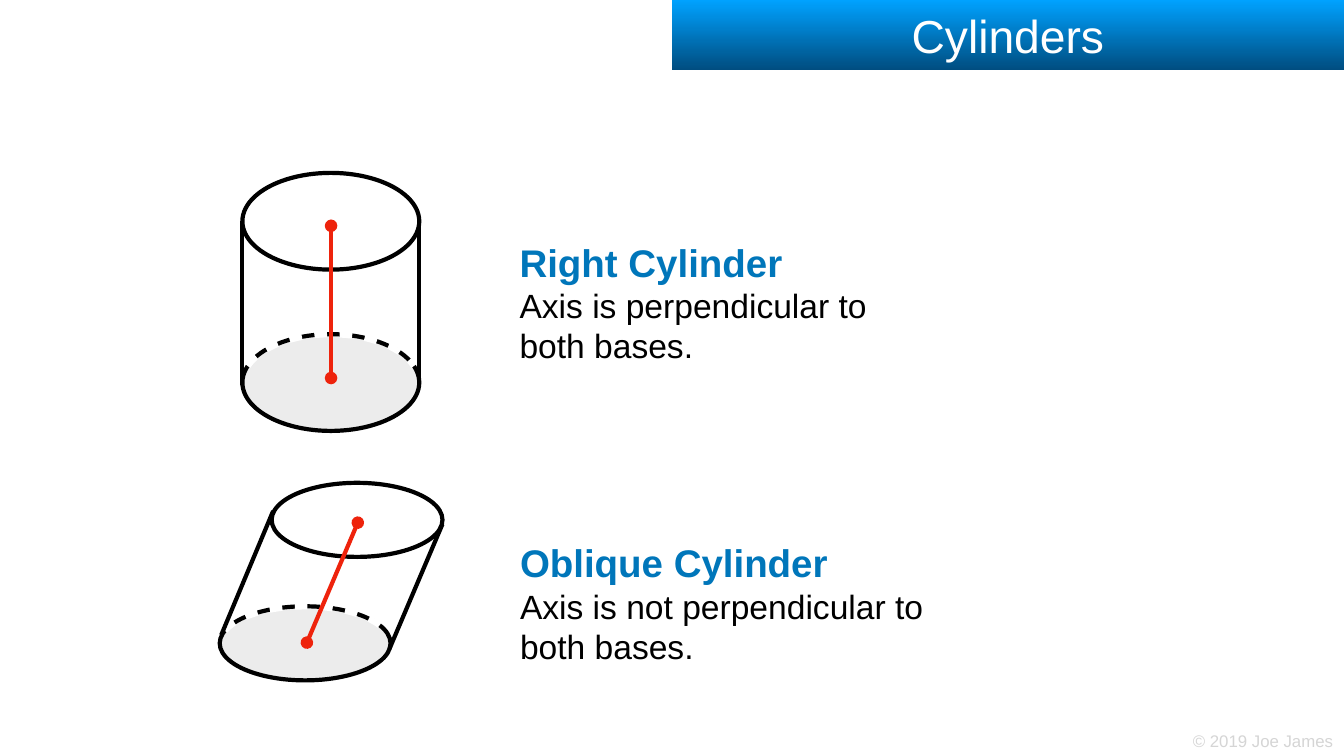
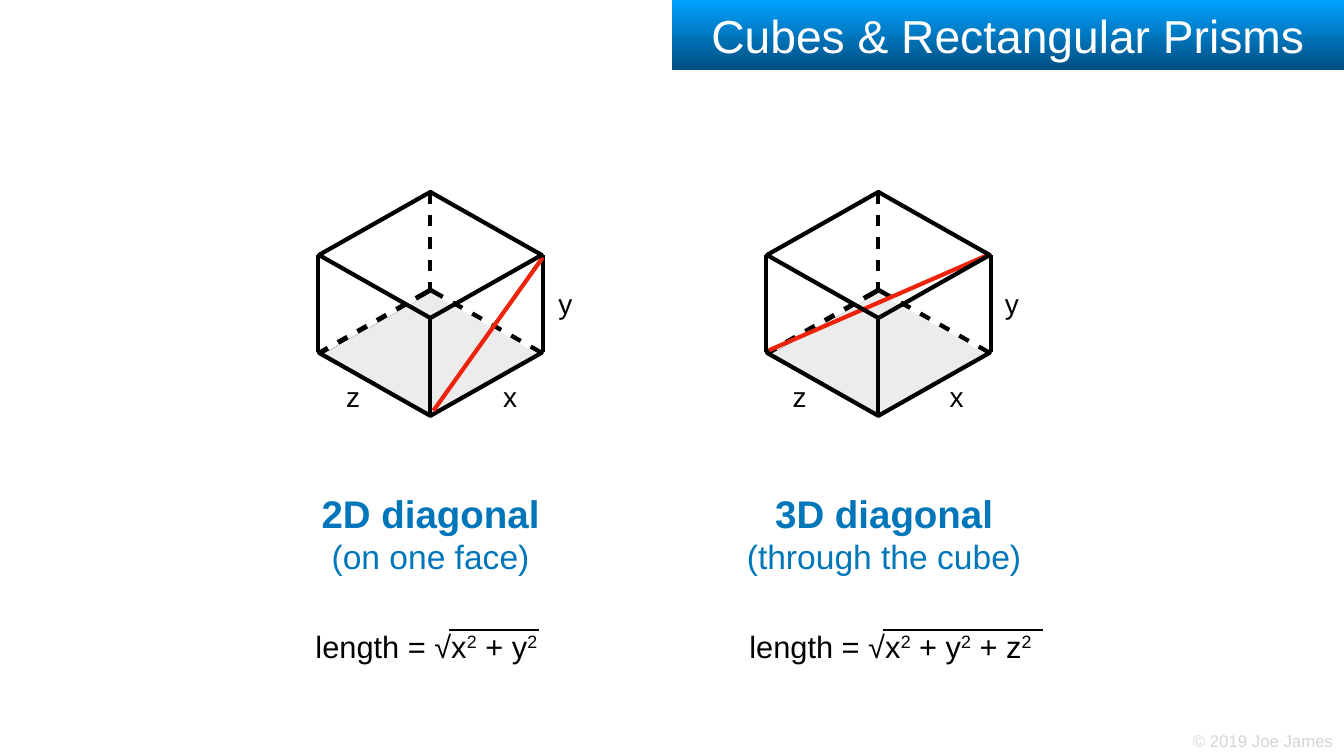
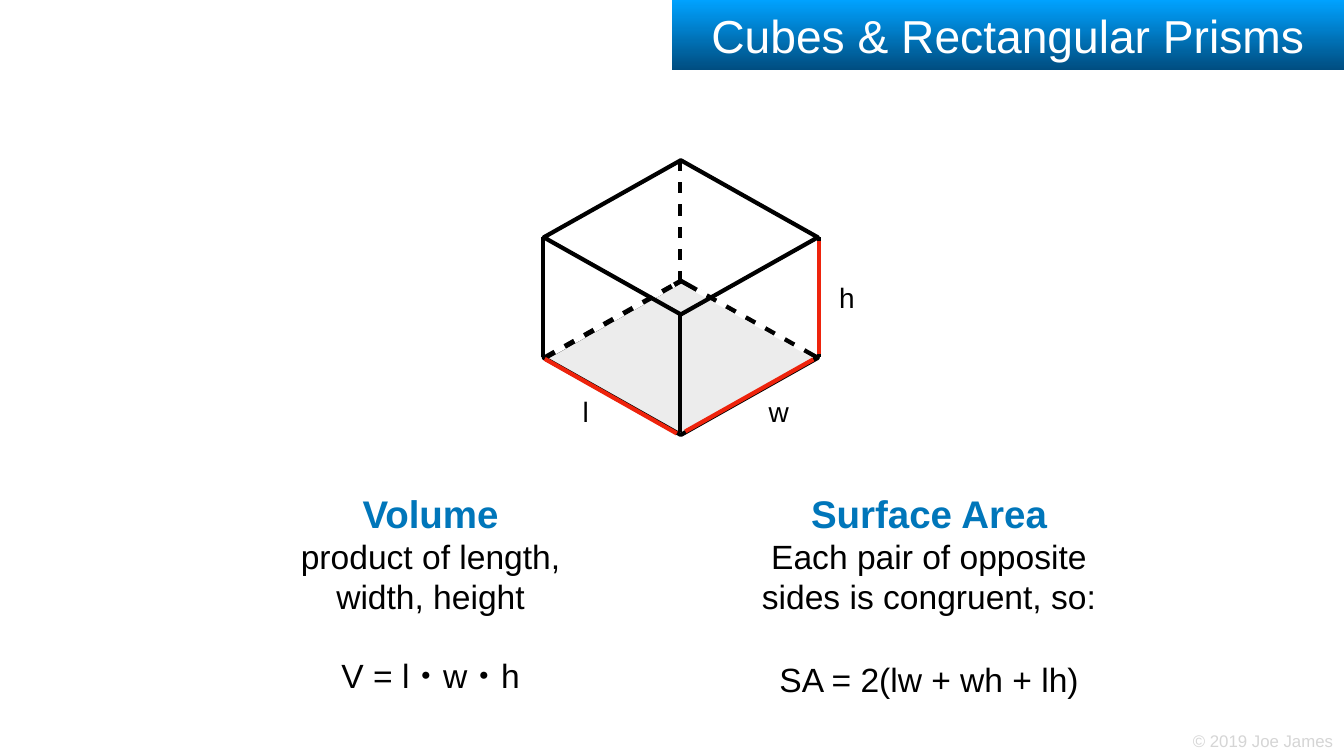
from math import cos, radians, sin

from lxml.etree import SubElement
from pptx import Presentation
from pptx.dml.color import RGBColor
from pptx.enum.shapes import MSO_CONNECTOR, MSO_SHAPE
from pptx.enum.text import MSO_ANCHOR, PP_ALIGN
from pptx.oxml.ns import qn
from pptx.util import Pt

PX = 9144  # 100 px to the inch
FONT = "Arial"
BLACK = RGBColor(0x00, 0x00, 0x00)
WHITE = RGBColor(0xFF, 0xFF, 0xFF)
BLUE = RGBColor(0x00, 0x76, 0xBA)
BAND_TOP = RGBColor(0x00, 0xA2, 0xFF)
BAND_BOTTOM = RGBColor(0x00, 0x4D, 0x80)
BASE_GREY = RGBColor(0xEC, 0xEC, 0xEC)
FOOTER_GREY = RGBColor(0xD5, 0xD5, 0xD5)
RED = RGBColor(0xEE, 0x23, 0x0C)
LEFT, CENTER = PP_ALIGN.LEFT, PP_ALIGN.CENTER
TOP, MIDDLE = MSO_ANCHOR.TOP, MSO_ANCHOR.MIDDLE


def write(box, text, size=48, color=BLACK, bold=False, align=LEFT,
          anchor=TOP, wrap=True, more=False):
    """Put one paragraph in a box, after the others if more; ² is superscript."""
    frame = box.text_frame
    frame.word_wrap = wrap
    frame.vertical_anchor = anchor
    frame.margin_left = frame.margin_right = 6 * PX
    frame.margin_top = frame.margin_bottom = 6 * PX
    para = frame.add_paragraph() if more else frame.paragraphs[0]
    para.alignment = align
    for piece in text.replace("²", "|²|").split("|"):
        if not piece:
            continue
        span = para.add_run()
        span.text = piece.replace("²", "2")
        span.font.name, span.font.size = FONT, Pt(size)
        span.font.bold, span.font.color.rgb = bold, color
        if piece == "²":
            span.font._element.set("baseline", "32000")


def trace(page, points, color=BLACK, width=6, fill=None, closed=False,
          dashed=False, dots=False):
    """Draw a connector through two points, or an outline through more."""
    points = [(round(x * PX), round(y * PX)) for x, y in points]
    if len(points) == 2:
        shape = page.shapes.add_connector(
            MSO_CONNECTOR.STRAIGHT, *points[0], *points[1])
        SubElement(shape._element.spPr, qn("a:effectLst"))
    else:
        builder = page.shapes.build_freeform(*points[0], scale=1.0)
        builder.add_line_segments(points[1:], close=closed)
        shape = builder.convert_to_shape()
        shape.shadow.inherit = False
        if fill is None:
            shape.fill.background()
        else:
            shape.fill.solid()
            shape.fill.fore_color.rgb = fill
    shape.line.color.rgb = color
    shape.line.width = Pt(width)
    stroke = shape.line._get_or_add_ln()
    if dashed:
        pattern = SubElement(stroke, qn("a:custDash"))
        SubElement(pattern, qn("a:ds"), d="200000", sp="200000")
    if dots:
        SubElement(stroke, qn("a:headEnd"), type="oval")
        SubElement(stroke, qn("a:tailEnd"), type="oval")


deck = Presentation()
deck.slide_width, deck.slide_height = 2667 * PX, 1500 * PX

# Title band and footer on every page
pages = []
for title in ("Cylinders", "Cubes & Rectangular Prisms",
              "Cubes & Rectangular Prisms"):
    page = deck.slides.add_slide(deck.slide_layouts[6])
    pages.append(page)
    footer = page.shapes.add_textbox(2361 * PX, 1445 * PX, 291 * PX, 49 * PX)
    write(footer, "© 2019 Joe James", size=24, color=FOOTER_GREY,
          anchor=MIDDLE, wrap=False)
    band = page.shapes.add_shape(
        MSO_SHAPE.RECTANGLE, 1333 * PX, 0, 1334 * PX, 139 * PX)
    band.shadow.inherit = False
    band.line.fill.background()
    band.fill.gradient()
    band.fill.gradient_angle = 270
    for stop, color in zip(band.fill.gradient_stops, (BAND_TOP, BAND_BOTTOM)):
        stop.color.rgb = color
    write(band, title, size=66, color=WHITE, align=CENTER, anchor=MIDDLE)
cylinder_page, diagonal_page, formula_page = pages

# Headings, each with its explanation
captions = [
    (cylinder_page, 1025, 468, 744, 262, LEFT, BLACK,
     "Right Cylinder", "Axis is perpendicular to both bases."),
    (cylinder_page, 1026, 1064, 826, 262, LEFT, BLACK,
     "Oblique Cylinder", "Axis is not perpendicular to both bases."),
    (diagonal_page, 556, 966, 597, 183, CENTER, BLUE,
     "2D diagonal", "(on one face)"),
    (diagonal_page, 1456, 966, 597, 183, CENTER, BLUE,
     "3D diagonal", "(through the cube)"),
    (formula_page, 556, 966, 597, 262, CENTER, BLACK,
     "Volume", "product of length, width, height"),
    (formula_page, 1456, 966, 775, 262, CENTER, BLACK,
     "Surface Area", "Each pair of opposite sides is congruent, so:"),
]
for page, x, y, width, height, align, color, heading, detail in captions:
    box = page.shapes.add_textbox(x * PX, y * PX, width * PX, height * PX)
    write(box, heading, size=55, color=BLUE, bold=True, align=align)
    write(box, detail, color=color, align=align, more=True)

# Formulas
formulas = [
    (diagonal_page, 620, 1239, 577, 154, 44, LEFT, "length = √x² + y²"),
    (diagonal_page, 1481, 1239, 630, 154, 44, LEFT, "length = √x² + y² + z²"),
    (formula_page, 600, 1294, 509, 104, 48, CENTER, "V = l・w・h"),
    (formula_page, 1529, 1302, 630, 88, 48, CENTER, "SA = 2(lw + wh + lh)"),
]
for page, x, y, width, height, size, align, formula in formulas:
    box = page.shapes.add_textbox(x * PX, y * PX, width * PX, height * PX)
    write(box, formula, size=size, align=align)
for start, end in ((892, 1070), (1753, 2069)):
    trace(diagonal_page, [(start, 1250), (end, 1250)], width=2)

# Cylinders: ellipse size, top and base corners, sides, axis
cylinders = [
    (351, 192, (481, 343), (481, 663),
     [[(481, 764), (481, 438)], [(831, 764), (831, 438)]],
     [(657, 750), (657, 448)]),
    (339, 147, (539, 958), (436, 1203),
     [[(773, 1287), (878, 1040)], [(439, 1260), (542, 1014)]],
     [(609, 1275), (710, 1037)]),
]
for width, height, lid, base, sides, axis in cylinders:
    for (x, y), fill in ((lid, None), (base, BASE_GREY)):
        ellipse = cylinder_page.shapes.add_shape(
            MSO_SHAPE.OVAL, x * PX, y * PX, width * PX, height * PX)
        ellipse.shadow.inherit = False
        ellipse.line.color.rgb = BLACK
        ellipse.line.width = Pt(6)
        if fill is None:
            ellipse.fill.background()
        else:
            ellipse.fill.solid()
            ellipse.fill.fore_color.rgb = fill
    # White dashes break up the hidden rear edge of the base
    rear = [(base[0] + width / 2 * (1 + cos(radians(angle))),
             base[1] + height / 2 * (1 + sin(radians(angle))))
            for angle in range(200, 341, 4)]
    trace(cylinder_page, rear, color=WHITE, width=9, dashed=True)
    for side in sides:
        trace(cylinder_page, side)
    trace(cylinder_page, axis, color=RED, dots=True)

# Prisms: centre x, half width, half height, base y, lid y, red lines, labels
prisms = [
    (diagonal_page, 854, 221, 125, 700, 506,
     [[(860, 815), (1077, 511)]],
     [("x", 992, 749, 41, 76), ("y", 1102, 564, 40, 76),
      ("z", 681, 749, 39, 76)]),
    (diagonal_page, 1743, 221, 125, 700, 506,
     [[(1526, 695), (1958, 507)]],
     [("x", 1878, 749, 41, 76), ("y", 1988, 564, 40, 76),
      ("z", 1567, 749, 39, 76)]),
    (formula_page, 1351, 272, 153, 710, 471,
     [[(1360, 856), (1614, 713)], [(1081, 712), (1343, 860)],
      [(1625, 703), (1625, 478)]],
     [("w", 1512, 770, 67, 94), ("h", 1654, 542, 53, 94),
      ("l", 1147, 770, 31, 94)]),
]
for page, mid, half, rise, base, lid, red_lines, labels in prisms:
    floor = [(mid + 1, base - rise + 4), (mid + half - 2, base + 1),
             (mid + 2, base + rise + 1), (mid - half + 2, base + 4)]
    trace(page, floor, width=2, fill=BASE_GREY, closed=True)
    base_edge, lid_edge = [
        [(mid, y - rise), (mid + half, y), (mid, y + rise), (mid - half, y)]
        for y in (base, lid)]
    trace(page, base_edge, closed=True)

    # Upright edges: right, left, front, rear
    for x, low, high in ((mid + half + 2, base - 1, lid),
                         (mid - half - 2, base - 1, lid),
                         (mid - 1, base + rise - 6, lid + rise),
                         (mid - 1, base - rise - 2, lid - rise + 4)):
        trace(page, [(x, low), (x, high)])

    # White dashes break up the three hidden edges
    hidden = [
        [(mid - 0.92 * half, base - 0.08 * rise),
         (mid - 0.05 * half, base - 0.95 * rise)],
        [(mid + 0.9 * half, base - 0.1 * rise),
         (mid + 0.05 * half, base - 0.95 * rise)],
        [(mid, base - 1.12 * rise), (mid, lid - 0.87 * rise)],
    ]
    for edge in hidden:
        trace(page, edge, color=WHITE, width=8, dashed=True)
    for red_line in red_lines:
        trace(page, red_line, color=RED)
    trace(page, lid_edge, closed=True)

    for label, x, y, width, height in labels:
        box = page.shapes.add_textbox(x * PX, y * PX, width * PX, height * PX)
        write(box, label, size=40, align=CENTER, anchor=MIDDLE, wrap=False)

deck.save("out.pptx")
